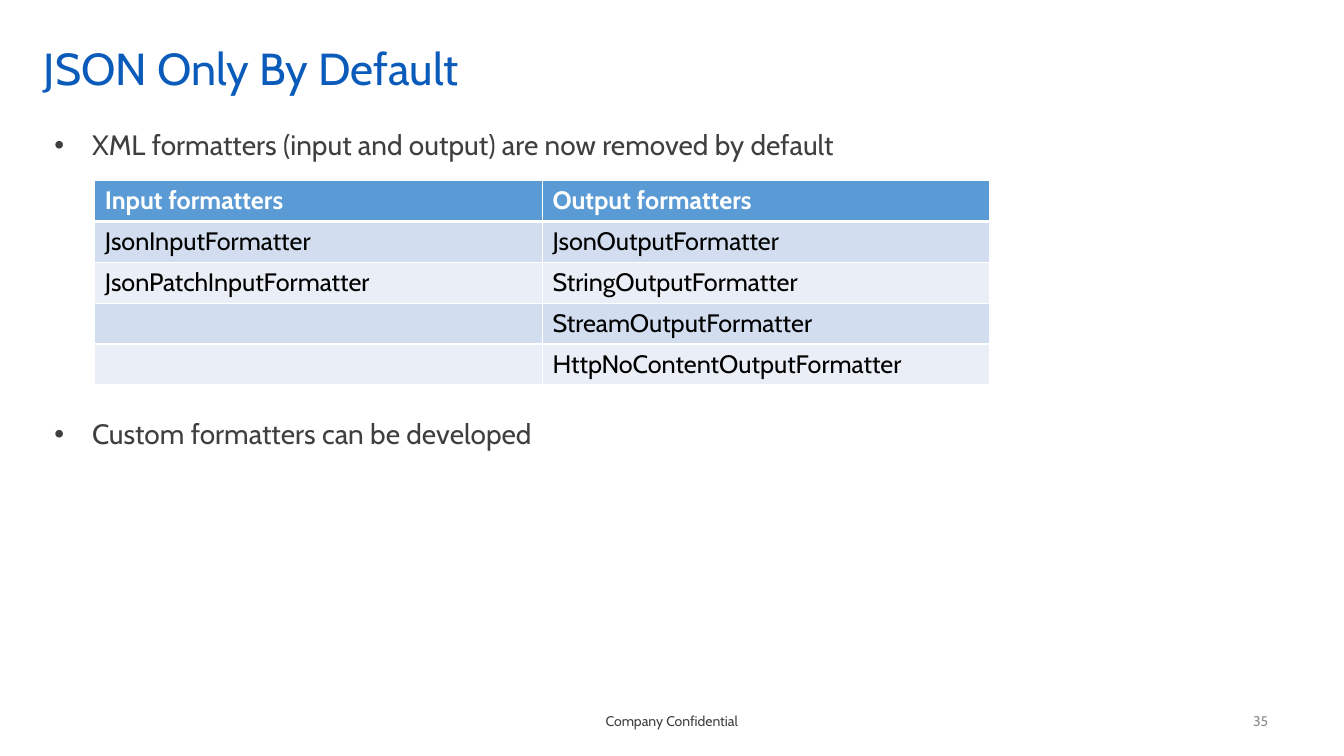
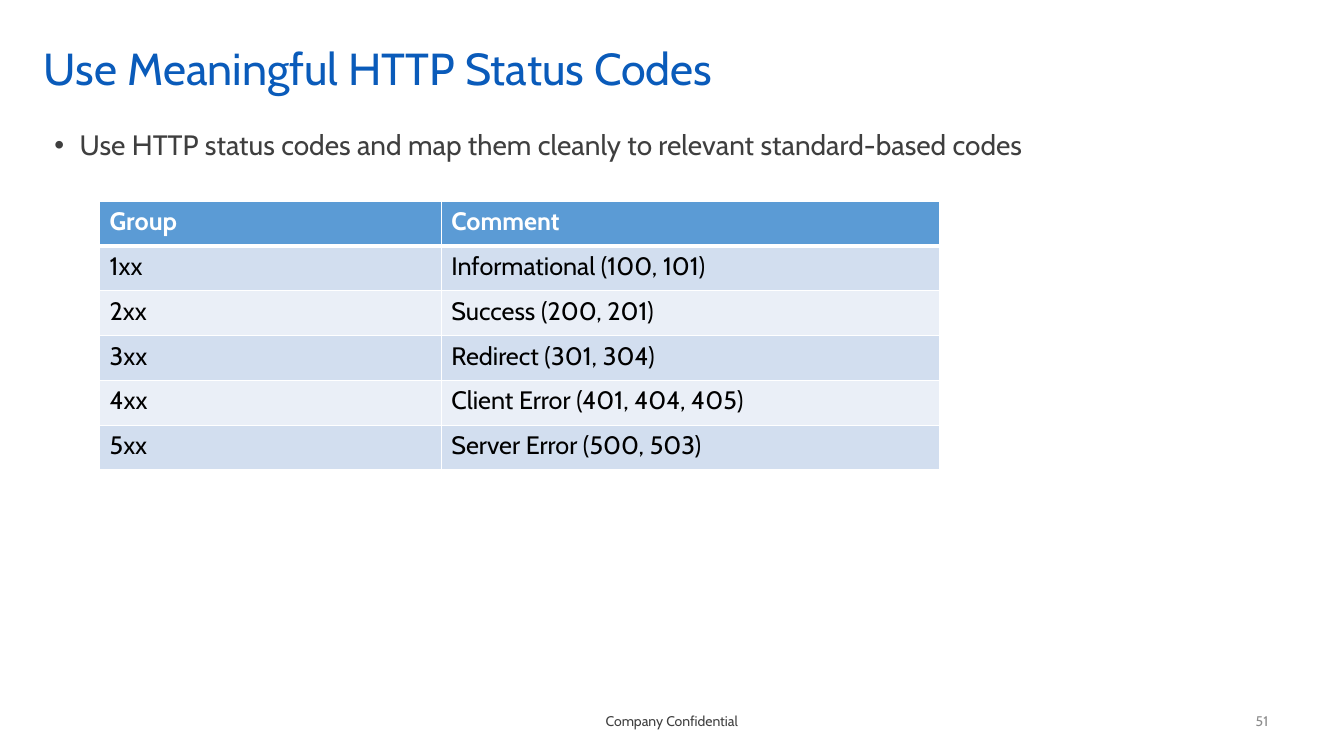
import dataclasses
import lxml.etree
import pptx
import pptx.dml.color
import pptx.enum.text
import pptx.oxml.ns
import pptx.util

Cm = pptx.util.Cm
Pt = pptx.util.Pt
Align = pptx.enum.text.PP_ALIGN
Anchor = pptx.enum.text.MSO_ANCHOR

FONT = "Cabin"
BLUE = "0A5BBA"
DARK = "3F3F3F"
GREY = "8C8C8C"
WHITE = "FFFFFF"
BLACK = "000000"
HEAD = "5B9BD5"
BANDS = ("D2DEEF", "EAEFF7")
FOOTER = "Company Confidential"
TITLE_ONLY = 5


@dataclasses.dataclass
class Bullet:
    text: str
    indent: float
    before: float = 0


@dataclasses.dataclass
class Grid:
    left: float
    top: float
    widths: tuple[float, ...]
    height: float
    rows: list[tuple[str, ...]]


@dataclasses.dataclass
class Page:
    title: str
    number: str
    bullets: list[Bullet]
    grid: Grid


PAGES = [
    Page(
        "JSON Only By Default",
        "35",
        [
            Bullet("XML formatters (input and output) are now removed by default", 0.95),
            Bullet("Custom formatters can be developed", 0.95, 185),
        ],
        Grid(2.39, 4.55, (11.28, 11.28), 1.03, [
            ("Input formatters", "Output formatters"),
            ("JsonInputFormatter", "JsonOutputFormatter"),
            ("JsonPatchInputFormatter", "StringOutputFormatter"),
            ("", "StreamOutputFormatter"),
            ("", "HttpNoContentOutputFormatter"),
        ]),
    ),
    Page(
        "Use Meaningful HTTP Status Codes",
        "51",
        [Bullet("Use HTTP status codes and map them cleanly to relevant "
                "standard-based codes", 0.64)],
        Grid(2.51, 5.07, (8.61, 12.57), 1.13, [
            ("Group", "Comment"),
            ("1xx", "Informational (100, 101)"),
            ("2xx", "Success (200, 201)"),
            ("3xx", "Redirect (301, 304)"),
            ("4xx", "Client Error (401, 404, 405)"),
            ("5xx", "Server Error (500, 503)"),
        ]),
    ),
]


def rgb(code: str) -> pptx.dml.color.RGBColor:
    return pptx.dml.color.RGBColor.from_string(code)


def style(para, size: float, color: str, bold: bool = False) -> None:
    font = para.font
    font.name = FONT
    font.size = Pt(size)
    font.bold = bold
    font.color.rgb = rgb(color)


def child(node, tag: str, **attrs: str):
    return lxml.etree.SubElement(node, pptx.oxml.ns.qn(tag), attrs)


def add_box(slide, left: float, top: float, width: float, height: float):
    """Add a wrapping text box, in centimetres, and return its text frame."""
    box = slide.shapes.add_textbox(Cm(left), Cm(top), Cm(width), Cm(height))
    box.text_frame.word_wrap = True
    return box.text_frame


def add_title(slide, text: str) -> None:
    title = slide.shapes.title
    title.left, title.top = Cm(0.85), Cm(0.85)
    title.width, title.height = Cm(31.32), Cm(1.9)
    frame = title.text_frame
    frame.text = text
    frame.vertical_anchor = Anchor.MIDDLE
    para = frame.paragraphs[0]
    para.alignment = Align.LEFT
    para.line_spacing = 0.9
    style(para, 32, BLUE)


def add_note(slide, text: str, left: float, width: float, align, color: str) -> None:
    """Add one small line of text in the footer band."""
    frame = add_box(slide, left, 17.65, width, 1.02)
    frame.vertical_anchor = Anchor.MIDDLE
    para = frame.paragraphs[0]
    para.text = text
    para.alignment = align
    style(para, 10, color)


def add_list(slide, bullets: list[Bullet]) -> None:
    frame = add_box(slide, 1.12, 3.18, 31.04, 13.77)
    for index, bullet in enumerate(bullets):
        para = frame.add_paragraph() if index else frame.paragraphs[0]
        para.text = bullet.text
        props = para._p.get_or_add_pPr()
        props.set("marL", str(Cm(bullet.indent)))
        props.set("indent", str(-Cm(bullet.indent)))
        child(props, "a:buFont", typeface="Arial")
        child(props, "a:buChar", char="•")
        para.line_spacing = 0.9
        if bullet.before:
            para.space_before = Pt(bullet.before)
        style(para, 20, DARK)


def set_edges(cell, top: float, bottom: float) -> None:
    """Draw white cell borders; the side borders are 1 point wide."""
    props = cell._tc.get_or_add_tcPr()
    edges = (("L", 1), ("R", 1), ("T", top), ("B", bottom))
    for index, (side, width) in enumerate(edges):
        line = child(props, f"a:ln{side}", w=str(Pt(width)))
        child(child(line, "a:solidFill"), "a:srgbClr", val=WHITE)
        props.insert(index, line)


def add_grid(slide, grid: Grid) -> None:
    count = len(grid.rows)
    table = slide.shapes.add_table(
        count, len(grid.widths), Cm(grid.left), Cm(grid.top),
        Cm(sum(grid.widths)), Cm(grid.height * count)).table
    for column, width in zip(table.columns, grid.widths):
        column.width = Cm(width)
    for r, texts in enumerate(grid.rows):
        table.rows[r].height = Cm(grid.height)
        head = r == 0
        for c, text in enumerate(texts):
            cell = table.cell(r, c)
            cell.text = text
            cell.fill.solid()
            cell.fill.fore_color.rgb = rgb(HEAD if head else BANDS[(r - 1) % 2])
            set_edges(cell, 3 if r == 1 else 1, 3 if head else 1)
            style(cell.text_frame.paragraphs[0], 18, WHITE if head else BLACK, head)


def add_page(deck, page: Page) -> None:
    slide = deck.slides.add_slide(deck.slide_layouts[TITLE_ONLY])
    add_title(slide, page.title)
    add_note(slide, FOOTER, 12.98, 7.9, Align.CENTER, DARK)
    add_note(slide, page.number, 24.59, 7.62, Align.RIGHT, GREY)
    add_list(slide, page.bullets)
    add_grid(slide, page.grid)


def main() -> None:
    deck = pptx.Presentation()
    deck.slide_width, deck.slide_height = Cm(33.87), Cm(19.05)
    for page in PAGES:
        add_page(deck, page)
    deck.save("out.pptx")


if __name__ == "__main__":
    main()
